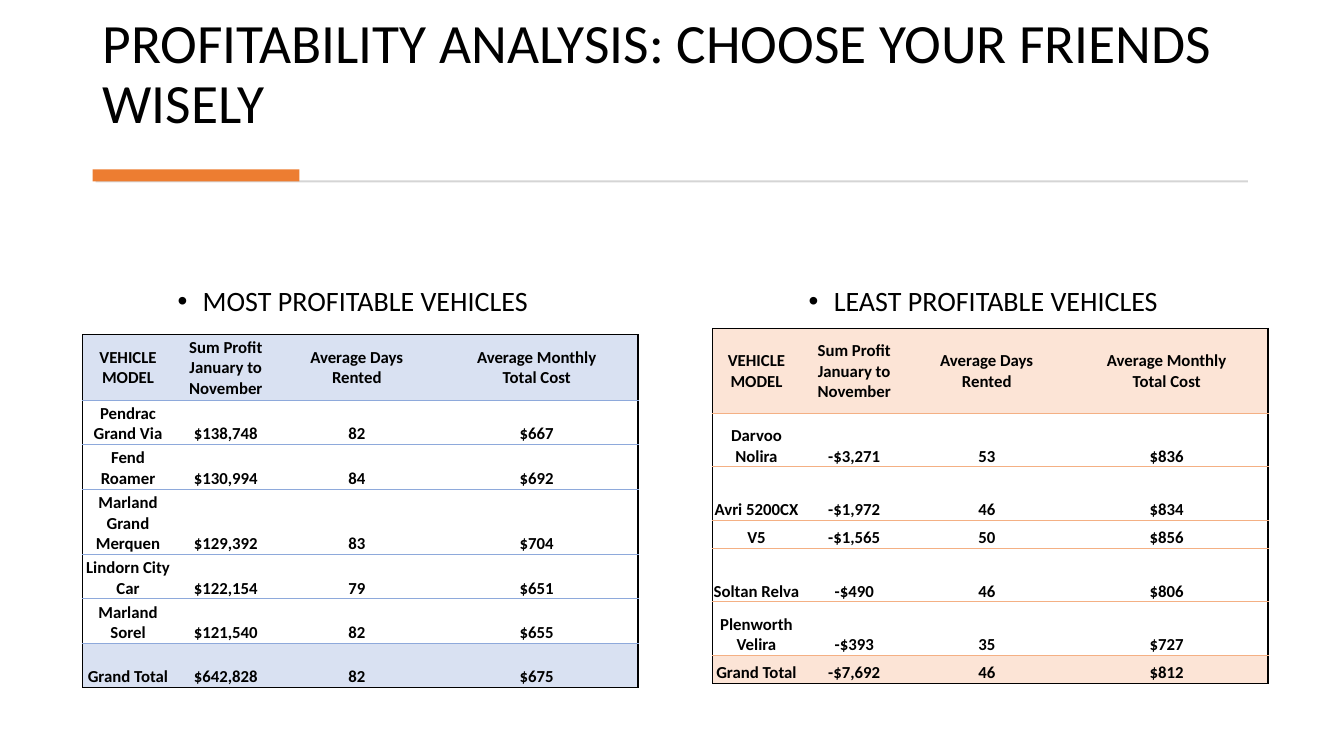
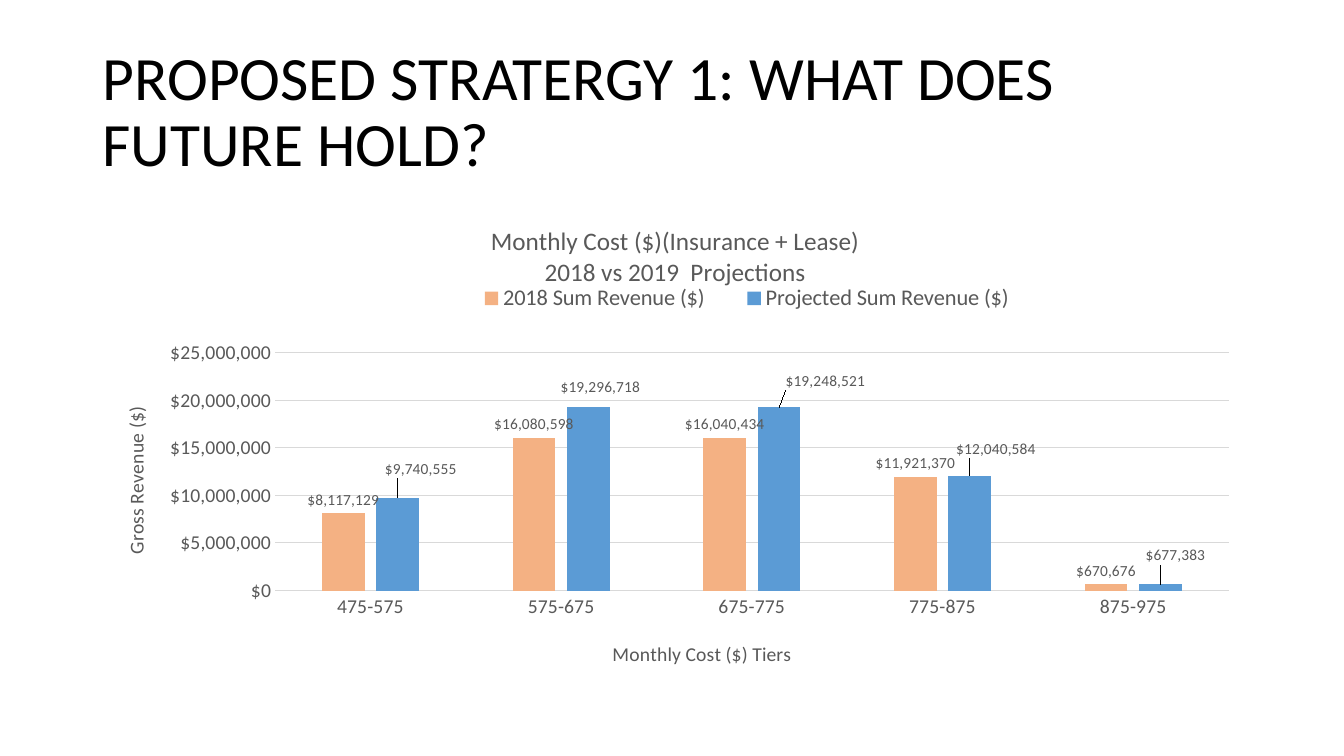
import pptx
import pptx.util
import pptx.oxml
import pptx.oxml.ns
import pptx.dml.color
import pptx.chart.data
import pptx.enum.chart
import pptx.enum.shapes
import pptx.enum.text
from dataclasses import dataclass

PX = 9144
ANCHOR = pptx.enum.text.MSO_ANCHOR
CENTER = pptx.enum.text.PP_ALIGN.CENTER


@dataclass(frozen=True)
class Theme:
    """Colours, font and type sizes of the deck."""
    font: str = "Calibri"
    ink: str = "000000"
    grey: str = "595959"
    rule: str = "D5D5D5"
    grid: str = "D9D9D9"
    accent: str = "ED7D31"
    blue: tuple = ("D9E1F2", "8EA9DB")
    orange: tuple = ("FCE4D6", "F4B084")
    series: tuple = ("F4B183", "5B9BD5")
    title: float = 44
    long_title: float = 39.6
    bullet: int = 20
    chart_title: int = 18
    legend: int = 16
    axis: int = 14
    cell: int = 12
    label: int = 11


def rgb(color):
    return pptx.dml.color.RGBColor.from_string(color)


def assign(obj, values):
    for name, value in values.items():
        setattr(obj, name, value)


def sub(parent, tag, index=None, **attrs):
    el = pptx.oxml.parse_xml(f"<{tag} {pptx.oxml.ns.nsdecls(tag.split(':')[0])}/>")
    for name, value in attrs.items():
        el.set(name, str(value))
    parent.insert(len(parent) if index is None else index, el)
    return el


class Deck:
    """Builds slides in one style, with lengths in px."""

    def __init__(self, theme):
        self.t = theme
        self.prs = pptx.Presentation()
        assign(self.prs, {"slide_width": 12192000, "slide_height": 750 * PX})

    def slide(self):
        self.s = self.prs.slides.add_slide(self.prs.slide_layouts[6])

    def font(self, font, size, color, bold=False):
        assign(font, {"name": self.t.font, "size": pptx.util.Pt(size), "bold": bold})
        font.color.rgb = rgb(color)

    def fill_text(self, tf, text, size, color, bold=False, **form):
        tf.text = text
        for p in tf.paragraphs:
            assign(p, form)
            for r in p.runs:
                self.font(r.font, size, color, bold)

    def text(self, box, text, size, anchor, **form):
        sp = self.s.shapes.add_textbox(*(v * PX for v in box))
        assign(sp.text_frame, {"word_wrap": True, "vertical_anchor": anchor})
        self.fill_text(sp.text_frame, text, size, self.t.ink, line_spacing=0.9, **form)
        return sp.text_frame

    def bullet(self, box, text):
        tf = self.text(box, text, self.t.bullet, ANCHOR.TOP,
                       alignment=CENTER, space_before=pptx.util.Pt(10))
        pPr = tf.paragraphs[0]._p.get_or_add_pPr()
        for name, value in {"marL": 25 * PX, "indent": -25 * PX}.items():
            pPr.set(name, str(value))
        sub(pPr, "a:buFont", typeface="Arial")
        sub(pPr, "a:buChar", char="•")

    def bar(self, box, color):
        kind = pptx.enum.shapes.MSO_SHAPE.RECTANGLE
        sp = self.s.shapes.add_shape(kind, *(v * PX for v in box))
        sp.shadow.inherit = False
        sp.fill.solid()
        sp.fill.fore_color.rgb = rgb(color)
        sp.line.fill.background()

    def borders(self, cell, sides):
        tcPr = cell._tc.get_or_add_tcPr()
        for i, side in enumerate("LRTB"):
            color, width = sides.get(side, (None, 0))
            ln = sub(tcPr, f"a:ln{side}", i, w=int(pptx.util.Pt(width)))
            if color:
                sub(sub(ln, "a:solidFill"), "a:srgbClr", val=color)
            else:
                sub(ln, "a:noFill")

    def table(self, left, top, cols, heights, rows, palette):
        fill, inner = palette
        box = (left, top, sum(cols), sum(heights))
        table = self.s.shapes.add_table(
            len(rows), len(cols), *(v * PX for v in box)).table
        assign(table, {"first_row": False, "horz_banding": False})
        for col, width in zip(table.columns, cols):
            col.width = width * PX
        for row, height in zip(table.rows, heights):
            row.height = height * PX
        last, end = len(rows) - 1, len(cols) - 1
        outer, thin = (self.t.ink, 1), (inner, 0.5)
        for i, row in enumerate(rows):
            for j, text in enumerate(row):
                cell = table.cell(i, j)
                assign(cell, {
                    "margin_left": PX, "margin_top": PX, "margin_right": PX,
                    "margin_bottom": 0,
                    "vertical_anchor": ANCHOR.BOTTOM if i else ANCHOR.MIDDLE})
                self.fill_text(cell.text_frame, text, self.t.cell, self.t.ink, True,
                               alignment=CENTER)
                if i in (0, last):
                    cell.fill.solid()
                    cell.fill.fore_color.rgb = rgb(fill)
                else:
                    cell.fill.background()
                sides = {"T": thin if i else outer, "B": thin if i < last else outer}
                if j == 0:
                    sides["L"] = outer
                if j == end:
                    sides["R"] = outer
                self.borders(cell, sides)

    def layout(self, parent, index, values, edge=True, inner=False):
        for old in parent.findall(pptx.oxml.ns.qn("c:layout")):
            parent.remove(old)
        manual = sub(sub(parent, "c:layout", index), "c:manualLayout")
        if inner:
            sub(manual, "c:layoutTarget", val="inner")
        if edge:
            sub(manual, "c:xMode", val="edge")
            sub(manual, "c:yMode", val="edge")
        sizes = (self.chart_w, self.chart_h) * 2
        for name, value, size in zip("xywh", values, sizes):
            sub(manual, f"c:{name}", val=round(value / size, 4))

    def chart_text(self, title, text, size, at):
        self.fill_text(title.text_frame, text, size, self.t.grey)
        self.layout(title._element, 1, at)

    def axis(self, axis, title, at, line):
        none = pptx.enum.chart.XL_TICK_MARK.NONE
        assign(axis, {"major_tick_mark": none, "minor_tick_mark": none})
        self.font(axis.tick_labels.font, self.t.axis, self.t.grey)
        self.chart_text(axis.axis_title, title, self.t.axis, at)
        if line:
            self.stroke(axis.format.line)
        else:
            axis.format.line.fill.background()

    def stroke(self, line):
        line.color.rgb = rgb(self.t.grid)
        line.width = pptx.util.Pt(0.75)

    def columns(self, box, cats, series, money, title, axis_titles, shifts):
        self.chart_w, self.chart_h = box[2:]
        data = pptx.chart.data.CategoryChartData(number_format=money)
        data.categories = cats
        for name, vals in series:
            data.add_series(name, vals)
        kind = pptx.enum.chart.XL_CHART_TYPE.COLUMN_CLUSTERED
        chart = self.s.shapes.add_chart(kind, *(v * PX for v in box), data).chart
        self.font(chart.font, self.t.axis, self.t.grey)
        assign(chart, {"has_title": True, "has_legend": True})
        self.chart_text(chart.chart_title, title, self.t.chart_title, (392, 20))
        assign(chart.legend, {"position": pptx.enum.chart.XL_LEGEND_POSITION.TOP,
                              "include_in_layout": False})
        self.font(chart.legend.font, self.t.legend, self.t.grey)
        self.layout(chart.legend._element, 1, (354, 82, 590, 28))

        cat, val = chart.category_axis, chart.value_axis
        self.axis(cat, axis_titles[0], (512, 432), True)
        self.axis(val, axis_titles[1], (26, 200), False)
        val.axis_title.text_frame._txBody.bodyPr.set("rot", "-5400000")
        assign(val, {"minimum_scale": 0, "maximum_scale": 25000000,
                     "major_unit": 5000000, "has_major_gridlines": True})
        self.stroke(val.major_gridlines.format.line)
        assign(val.tick_labels, {"number_format": money,
                                 "number_format_is_linked": False})

        plot = chart.plots[0]
        assign(plot, {"gap_width": 219, "overlap": -27, "vary_by_categories": False})
        area = chart._chartSpace.chart.plotArea
        self.layout(area, 0, (181, 150, 946, 236), inner=True)
        above = pptx.enum.chart.XL_LABEL_POSITION.OUTSIDE_END
        for ser, color in zip(plot.series, self.t.series):
            ser.format.fill.solid()
            ser.format.fill.fore_color.rgb = rgb(color)
            assign(ser.data_labels, {
                "show_value": True, "position": above, "number_format": money,
                "number_format_is_linked": False})
            self.font(ser.data_labels.font, self.t.label, self.t.grey)
        projected = plot.series[1]
        for i, shift in enumerate(shifts):
            label = projected.points[i].data_label
            self.font(label.font, self.t.label, self.t.grey)
            label.position = above
            dLbl = projected.data_labels._element.findall(pptx.oxml.ns.qn("c:dLbl"))[i]
            self.layout(dLbl, 1, shift, edge=False)


HEAD = ("VEHICLE MODEL", "Sum Profit January to November",
        "Average Days\nRented", "Average Monthly\nTotal Cost")
MOST = (
    HEAD,
    ("Pendrac Grand Via", "$138,748", "82", "$667"),
    ("Fend Roamer", "$130,994", "84", "$692"),
    ("Marland Grand Merquen", "$129,392", "83", "$704"),
    ("Lindorn City Car", "$122,154", "79", "$651"),
    ("Marland Sorel", "$121,540", "82", "$655"),
    ("Grand Total", "$642,828", "82", "$675"),
)
LEAST = (
    HEAD,
    ("Darvoo Nolira", "-$3,271", "53", "$836"),
    ("Avri 5200CX", "-$1,972", "46", "$834"),
    ("V5", "-$1,565", "50", "$856"),
    ("Soltan Relva", "-$490", "46", "$806"),
    ("Plenworth Velira", "-$393", "35", "$727"),
    ("Grand Total", "-$7,692", "46", "$812"),
)
TIERS = ("475-575", "575-675", "675-775", "775-875", "875-975")
REVENUE = (
    ("2018 Sum Revenue ($)", (8117129, 16080598, 16040434, 11921370, 670676)),
    ("Projected Sum Revenue ($)", (9740555, 19296718, 19248521, 12040584, 677383)),
)


def main():
    t = Theme()
    deck = Deck(t)

    deck.slide()
    deck.text((92, 28, 1149, 111), "PROFITABILITY ANALYSIS: CHOOSE YOUR FRIENDS WISELY",
              t.long_title, ANCHOR.BOTTOM)
    deck.bar((95, 179, 1143, 2), t.rule)
    deck.bar((92, 168, 205, 12), t.accent)
    deck.bullet((68, 280, 564, 90), "MOST PROFITABLE VEHICLES")
    deck.bullet((692, 280, 567, 90), "LEAST PROFITABLE VEHICLES")
    deck.table(707, 326, (87, 107, 156, 201), (84, 53, 53, 28, 53, 53, 28),
               LEAST, t.orange)
    deck.table(82, 332, (90, 104, 156, 201), (65, 44, 44, 65, 44, 44, 44),
               MOST, t.blue)

    deck.slide()
    deck.text((92, 40, 1150, 145), "PROPOSED STRATERGY 1: WHAT DOES FUTURE HOLD?",
              t.title, ANCHOR.MIDDLE)
    deck.columns((92, 200, 1150, 476), TIERS, REVENUE, '"$"#,##0',
                 "Monthly Cost ($)(Insurance + Lease)\n2018 vs 2019  Projections",
                 ("Monthly Cost ($) Tiers", "Gross Revenue ($)"),
                 ((23, -15), (12, -6), (46, -13), (26, -13), (15, -15)))
    deck.prs.save("out.pptx")


if __name__ == "__main__":
    main()
